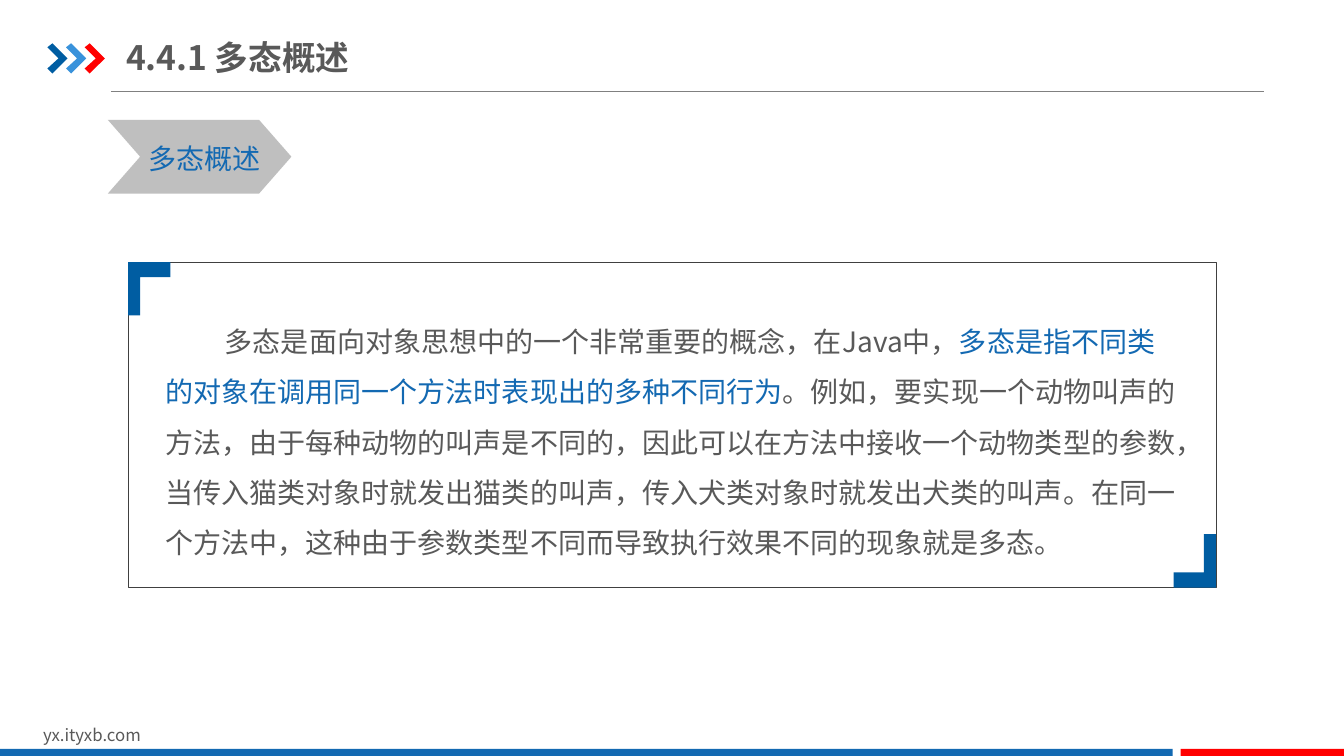
from lxml import etree
from pptx import Presentation
from pptx.dml.color import RGBColor
from pptx.enum.shapes import MSO_CONNECTOR, MSO_SHAPE
from pptx.enum.text import MSO_ANCHOR, MSO_AUTO_SIZE, PP_ALIGN
from pptx.oxml.ns import qn
from pptx.util import Inches, Pt

LINE = MSO_CONNECTOR.STRAIGHT
RECT, ROUND, CHEVRON = MSO_SHAPE.RECTANGLE, MSO_SHAPE.ROUNDED_RECTANGLE, MSO_SHAPE.CHEVRON
LEFT, MIDDLE, TOP = PP_ALIGN.LEFT, MSO_ANCHOR.MIDDLE, MSO_ANCHOR.TOP
NO_FIT = MSO_AUTO_SIZE.NONE
FONT = "Noto Sans CJK SC"
COLORS = {
    "navy": "005DA2", "sky": "3992DB", "red": "FF0000", "blue": "1369B2",
    "text": "595959", "tag": "BFBFBF", "rule": "808080", "edge": "404040",
}
BODY = [
    ("多态是面向对象思想中的一个非常重要的概念，在Java中，", "text"),
    ("多态是指不同类的对象在调用同一个方法时表现出的多种不同行为", "blue"),
    ("。例如，要实现一个动物叫声的方法，由于每种动物的叫声是不同的，"
     "因此可以在方法中接收一个动物类型的参数，当传入猫类对象时就发出猫类的叫声，"
     "传入犬类对象时就发出犬类的叫声。在同一个方法中，"
     "这种由于参数类型不同而导致执行效果不同的现象就是多态。", "text"),
]


def color(name):
    """Return the named colour."""
    return RGBColor.from_string(COLORS[name])


def apply(item, values):
    """Set every attribute in values on item."""
    for name, value in values.items():
        setattr(item, name, value)


def place(shape, box):
    """Move and size a shape by a box in inches."""
    names = ("left", "top", "width", "height")
    apply(shape, dict(zip(names, map(Inches, box))))


def paint(shape, fill=None, edge=None):
    """Give a shape a plain fill and outline, without shadow."""
    shape.shadow.inherit = False
    if fill:
        shape.fill.solid()
        shape.fill.fore_color.rgb = color(fill)
    else:
        shape.fill.background()
    if edge:
        shape.line.color.rgb = color(edge)
        shape.line.width = Pt(0.25)
    else:
        shape.line.fill.background()


def add_block(slide, kind, box, fill=None, edge=None, adjust=None):
    """Add a preset shape."""
    shape = slide.shapes.add_shape(kind, *map(Inches, box))
    if adjust is not None:
        shape.adjustments[0] = adjust
    paint(shape, fill, edge)


def add_free(slide, points, fill):
    """Add a closed outline through points in inches."""
    start, *rest = [(Inches(x), Inches(y)) for x, y in points]
    form = slide.shapes.build_freeform(*start, scale=1.0)
    form.add_line_segments(rest, close=True)
    paint(form.convert_to_shape(), fill)


def add_rule(slide, left, right, y):
    """Add the thin line below the title."""
    rule = slide.shapes.add_connector(LINE, *map(Inches, (left, y, right, y)))
    rule.line.color.rgb = color("rule")
    rule.line.width = Pt(0.75)
    etree.SubElement(rule.element.spPr, qn("a:effectLst"))


def write(shape, runs, size, bold=False, indent=0, para=None, frame=None):
    """Fill a shape with one paragraph of coloured runs."""
    values = {"word_wrap": True, "auto_size": NO_FIT, "vertical_anchor": TOP}
    apply(shape.text_frame, values | (frame or {}))
    first = shape.text_frame.paragraphs[0]
    props = first._p.get_or_add_pPr()
    props.set("marL", "0")
    props.set("indent", str(Inches(indent)))
    etree.SubElement(props, qn("a:buNone"))
    apply(first, {"alignment": LEFT, "space_before": Pt(0)} | (para or {}))
    for text, name in runs:
        run = first.add_run()
        run.text = text
        apply(run.font, {"size": Pt(size), "bold": bold, "name": FONT})
        run.font.color.rgb = color(name)
        east = etree.SubElement(run._r.get_or_add_rPr(), qn("a:ea"))
        east.set("typeface", FONT)


def add_label(slide, box, text, size, name, wrap=True):
    """Add a text box with a single line."""
    label = slide.shapes.add_textbox(*map(Inches, box))
    write(label, [(text, name)], size, frame={"word_wrap": wrap})


def add_arrows(slide):
    """Add the three arrows beside the title."""
    shape = [(0, 0.04), (0.05, 0), (0.2, 0.15), (0.05, 0.3), (0, 0.25), (0.11, 0.15)]
    for i, fill in enumerate(("navy", "sky", "red")):
        left = 0.47 + 0.185 * i
        add_free(slide, [(left + x, 0.43 + y) for x, y in shape], fill)


def add_frame(slide, left, top, width, height):
    """Add the outlined frame with two opposite corner marks."""
    add_block(slide, ROUND, (left, top, width, height), edge="edge", adjust=0)
    mark = [(0, 0), (0.42, 0), (0.42, 0.15), (0.12, 0.15), (0.12, 0.53), (0, 0.53)]
    for x, y, sign in ((left, top, 1), (left + width, top + height, -1)):
        add_free(slide, [(x + sign * dx, y + sign * dy) for dx, dy in mark], "navy")


def main():
    """Build and save the slide."""
    deck = Presentation()
    apply(deck, {"slide_width": Inches(13.33), "slide_height": Inches(7.5)})
    slide = deck.slides.add_slide(deck.slide_layouts[1])
    title, body = slide.placeholders

    add_rule(slide, 1.1, 12.54, 0.91)
    add_arrows(slide)
    add_label(slide, (0.33, 7.14, 3.18, 0.3), "yx.ityxb.com", 12, "text")
    add_block(slide, RECT, (0, 7.43, 11.63, 0.09), "blue")
    add_block(slide, RECT, (11.71, 7.43, 1.63, 0.09), "red")

    place(title, (1.25, 0.29, 4.26, 0.55))
    write(title, [("4.4.1 多态概述", "text")], 24, bold=True,
          frame={"vertical_anchor": MIDDLE, "margin_left": 0, "margin_right": 0})

    add_block(slide, CHEVRON, (1.07, 1.19, 1.82, 0.73), "tag", adjust=0.438)
    add_label(slide, (1.37, 1.35, 1.31, 0.44), "多态概述", 20, "blue", wrap=False)

    place(body, (1.54, 3, 10.25, 2.62))
    write(body, BODY, 20, indent=0.59, para={"line_spacing": 1.5})
    add_frame(slide, 1.27, 2.6, 10.79, 3.23)

    deck.save("out.pptx")


if __name__ == "__main__":
    main()
